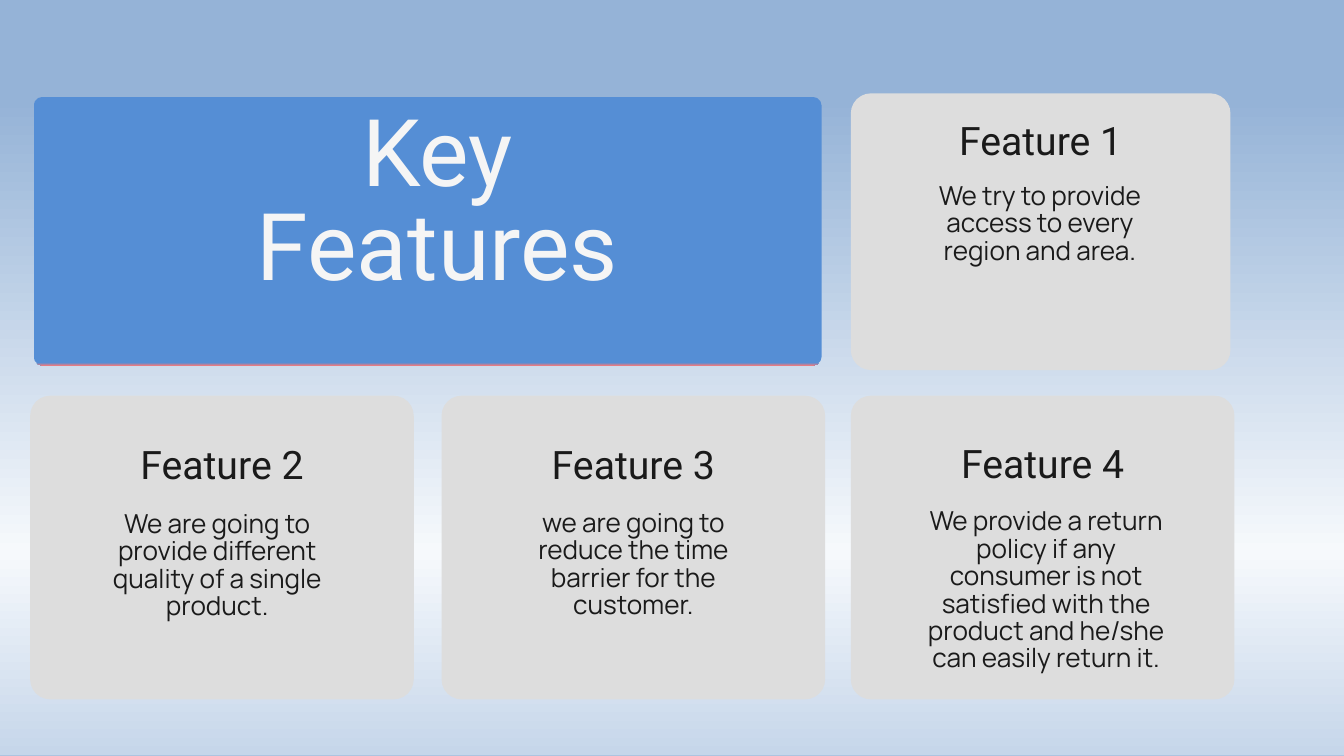
"""Build the Key Features slide: a title panel and four feature cards."""
from dataclasses import dataclass

from lxml import etree
from pptx import Presentation
from pptx.dml.color import RGBColor
from pptx.enum.shapes import MSO_SHAPE
from pptx.enum.text import MSO_ANCHOR, MSO_AUTO_SIZE, PP_ALIGN
from pptx.oxml.ns import qn
from pptx.util import Cm, Pt

ROUNDED = MSO_SHAPE.ROUNDED_RECTANGLE
CENTER = PP_ALIGN.CENTER
TOP = MSO_ANCHOR.TOP
GROW = MSO_AUTO_SIZE.SHAPE_TO_FIT_TEXT

TITLE_ONLY = 5
HEADING_WIDTH, HEADING_HEIGHT = 13.41, 1.93
BODY_WIDTH, BODY_LINE_HEIGHT = 9.98, 1.04
CARD_GRAY = "DDDDDD"
SKY_STOPS = [(13, "95B3D7"), (73, "F6F9FC"), (99.8, "C6D6EA"), (100, "A2BCDC")]
PANEL_STOPS = [(99, "558ED5"), (100, "E97C83")]


@dataclass(frozen=True)
class Box:
    left: float
    top: float
    width: float
    height: float

    @property
    def center(self) -> float:
        return self.left + self.width / 2

    def lengths(self) -> list[Cm]:
        return [Cm(v) for v in (self.left, self.top, self.width, self.height)]


@dataclass(frozen=True)
class TextStyle:
    font: str
    size: float
    spacing: float
    color: str


@dataclass(frozen=True)
class Feature:
    heading: str
    body: str
    card: Box
    heading_top: float
    body_top: float
    body_shift: float
    body_lines: int


TITLE_STYLE = TextStyle("Roboto", 100, 100, "F5F5F5")
HEADING_STYLE = TextStyle("Roboto", 42, 50.4, "1A1A1A")
BODY_STYLE = TextStyle("Manrope", 28, 29.4, "1A1A1A")

PANEL = Box(1.27, 3.66, 29.79, 10.16)
TITLE_BOX = Box(2.49, 4.24, 28.09, 7.29)

FEATURES = [
    Feature("Feature 1", "We try to provide access to every region and area.",
            Box(32.16, 3.53, 14.35, 10.46), 4.39, 6.93, -0.03, 3),
    Feature("Feature 2", "We are going to provide different quality of a single product.",
            Box(1.14, 14.96, 14.5, 11.48), 16.64, 19.33, -0.18, 4),
    Feature("Feature 3", "we are going to reduce the time barrier for the customer.",
            Box(16.69, 14.96, 14.5, 11.48), 16.64, 19.28, 0, 5),
    Feature("Feature 4", "We provide a return policy if any consumer is not satisfied "
            "with the product and he/she can easily return it.",
            Box(32.16, 14.96, 14.5, 11.48), 16.61, 19.23, 0.13, 6),
]


def rgb(value: str) -> RGBColor:
    return RGBColor.from_string(value)


def apply_gradient(fill, element, stops: list[tuple[float, str]]) -> None:
    fill.gradient()
    fill.gradient_angle = 270
    stop_list = next(element.iter(qn("a:gsLst")))
    for old_stop in list(stop_list):
        stop_list.remove(old_stop)
    for position, color in stops:
        stop = etree.SubElement(stop_list, qn("a:gs"), pos=str(round(position * 1000)))
        etree.SubElement(stop, qn("a:srgbClr"), val=color)


def add_panel(slide, box: Box, radius: float):
    panel = slide.shapes.add_shape(ROUNDED, *box.lengths())
    panel.adjustments[0] = radius / min(box.width, box.height)
    panel.shadow.inherit = False
    panel.line.fill.background()
    return panel


def write_lines(frame, lines: list[str], style: TextStyle) -> None:
    frame.word_wrap = True
    frame.auto_size = GROW
    frame.vertical_anchor = TOP
    frame.margin_left = frame.margin_right = frame.margin_top = frame.margin_bottom = 0
    for index, line in enumerate(lines):
        paragraph = frame.paragraphs[0] if index == 0 else frame.add_paragraph()
        paragraph.alignment = CENTER
        paragraph.line_spacing = Pt(style.spacing)
        paragraph.space_before = Pt(0)
        run = paragraph.add_run()
        run.text = line
        run.font.name = style.font
        run.font.size = Pt(style.size)
        run.font.color.rgb = rgb(style.color)


def add_text(slide, center: float, top: float, width: float, height: float,
             text: str, style: TextStyle) -> None:
    box = Box(center - width / 2, top, width, height)
    write_lines(slide.shapes.add_textbox(*box.lengths()).text_frame, [text], style)


def add_feature(slide, feature: Feature) -> None:
    card = add_panel(slide, feature.card, 0.76)
    card.fill.solid()
    card.fill.fore_color.rgb = rgb(CARD_GRAY)
    center = feature.card.center
    add_text(slide, center, feature.heading_top, HEADING_WIDTH, HEADING_HEIGHT,
             feature.heading, HEADING_STYLE)
    add_text(slide, center + feature.body_shift, feature.body_top, BODY_WIDTH,
             feature.body_lines * BODY_LINE_HEIGHT, feature.body, BODY_STYLE)


def add_title(slide) -> None:
    panel = add_panel(slide, PANEL, 0.35)
    apply_gradient(panel.fill, panel.element, PANEL_STOPS)
    title = slide.shapes.title
    title.left, title.top, title.width, title.height = TITLE_BOX.lengths()
    write_lines(title.text_frame, ["Key", "Features"], TITLE_STYLE)
    panel.element.addnext(title.element)


def main() -> None:
    deck = Presentation()
    deck.slide_width, deck.slide_height = Cm(50.8), Cm(28.58)
    slide = deck.slides.add_slide(deck.slide_layouts[TITLE_ONLY])
    apply_gradient(slide.background.fill, slide.element, SKY_STOPS)
    add_title(slide)
    for feature in FEATURES:
        add_feature(slide, feature)
    deck.save("out.pptx")


if __name__ == "__main__":
    main()
